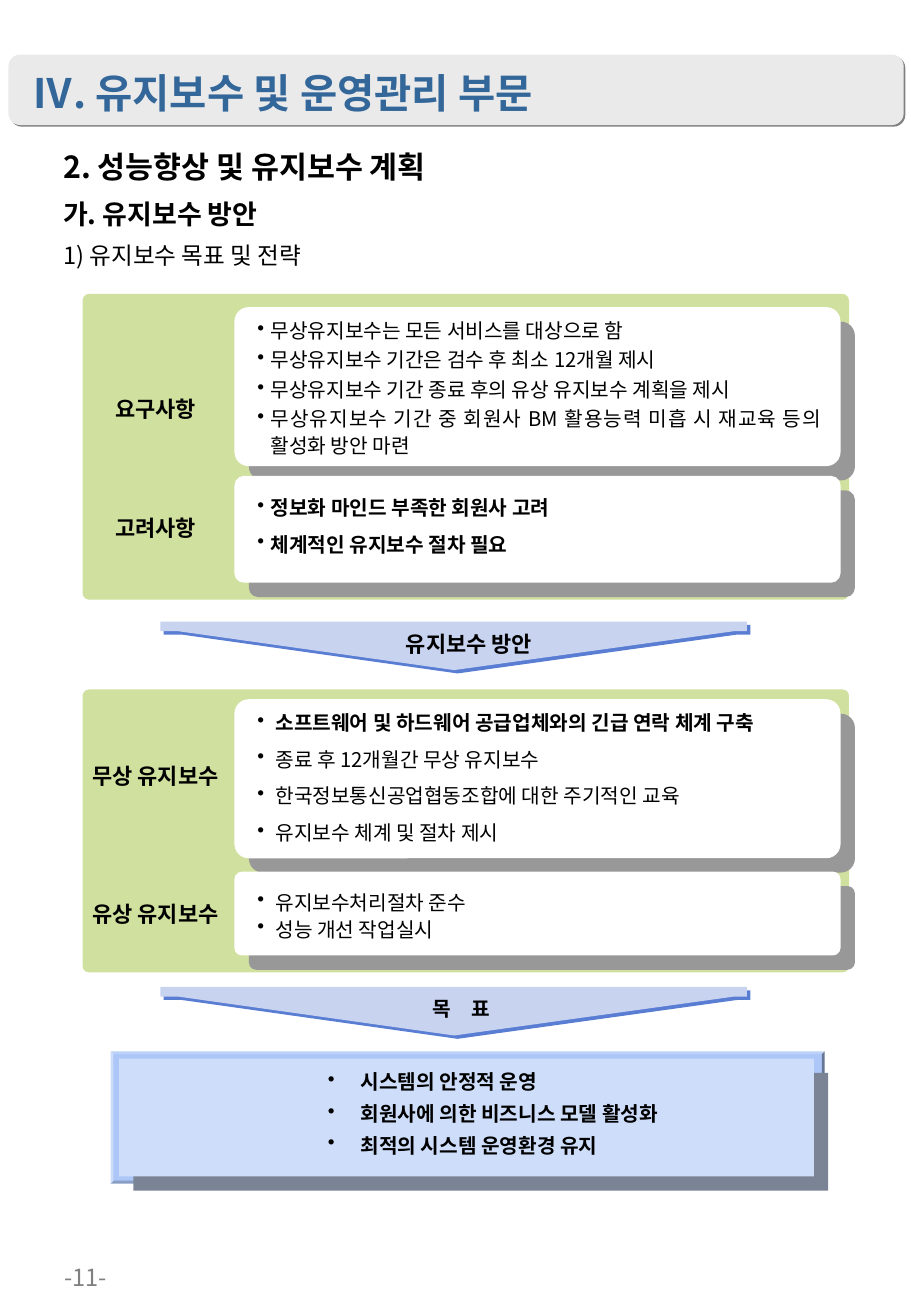
from lxml.etree import SubElement
from pptx import Presentation
from pptx.dml.color import RGBColor
from pptx.enum.shapes import MSO_SHAPE
from pptx.enum.text import MSO_ANCHOR, MSO_AUTO_SIZE, PP_ALIGN
from pptx.oxml.ns import qn
from pptx.util import Inches, Pt

FACE = "Noto Sans CJK KR"
BLACK = RGBColor(0x00, 0x00, 0x00)
WHITE = RGBColor(0xFF, 0xFF, 0xFF)
GRAY = RGBColor(0x80, 0x80, 0x80)
SILVER = RGBColor(0xEA, 0xEA, 0xEA)
NAVY = RGBColor(0x33, 0x66, 0x99)
GREEN = RGBColor(0xD0, 0xE0, 0x9E)
SHADE = RGBColor(0x98, 0x98, 0x98)
ARROW = RGBColor(0xC8, 0xD3, 0xF0)
EDGE = RGBColor(0x5A, 0x7D, 0xD4)
FRAME = RGBColor(0xAB, 0xC6, 0xF7)
SKY = RGBColor(0xCE, 0xDE, 0xFA)
SLATE = RGBColor(0x7B, 0x84, 0x95)

HEAD = "Ⅳ. 유지보수 및 운영관리 부문"
TITLE = [
    ("2. 성능향상 및 유지보수 계획", 18, 31, True),
    ("가. 유지보수 방안", 16, 27, True),
    ("1) 유지보수 목표 및 전략", 14, 23, False),
]
PAGE = "-11-"
PANELS = [(2.42, 2.52), (5.68, 2.33)]
CARDS = [
    {"label": "요구사항", "mid": 3.36, "top": 2.53, "high": 1.31,
     "text": 2.55, "indent": 0.11, "step": 16, "gap": 1.5, "bold": 0,
     "align": PP_ALIGN.JUSTIFY,
     "items": ["무상유지보수는 모든 서비스를 대상으로 함",
               "무상유지보수 기간은 검수 후 최소 12개월 제시",
               "무상유지보수 기간 종료 후의 유상 유지보수 계획을 제시",
               "무상유지보수 기간 중 회원사 BM 활용능력 미흡 시 재교육 등의 활성화 방안 마련"]},
    {"label": "고려사항", "mid": 4.34, "top": 3.92, "high": 0.88,
     "text": 3.99, "indent": 0.11, "step": 17.3, "gap": 4.5, "bold": 2,
     "align": PP_ALIGN.JUSTIFY,
     "items": ["정보화 마인드 부족한 회원사 고려", "체계적인 유지보수 절차 필요"]},
    {"label": "무상 유지보수", "mid": 6.38, "top": 5.76, "high": 1.31,
     "text": 5.76, "indent": 0.15, "step": 17.3, "gap": 4.5, "bold": 1,
     "align": PP_ALIGN.LEFT,
     "items": ["소프트웨어 및 하드웨어 공급업체와의 긴급 연락 체계 구축",
               "종료 후 12개월간 무상 유지보수",
               "한국정보통신공업협동조합에 대한 주기적인 교육",
               "유지보수 체계 및 절차 제시"]},
    {"label": "유상 유지보수", "mid": 7.52, "top": 7.18, "high": 0.69,
     "text": 7.26, "indent": 0.15, "step": 16, "gap": 0, "bold": 0,
     "align": PP_ALIGN.LEFT,
     "items": ["유지보수처리절차 준수", "성능 개선 작업실시"]},
]
ARROWS = [("유지보수 방안", 5.12, 3.86, 13, 15.8), ("목　표", 8.13, 3.8, 12, 14.8)]
POINTS = [(0, 0), (4.83, 0), (4.83, 0.08), (4.72, 0.08), (2.42, 0.4), (0.15, 0.08), (0, 0.08)]
GOALS = ["시스템의 안정적 운영", "회원사에 의한 비즈니스 모델 활성화", "최적의 시스템 운영환경 유지"]


def paint(shape, fill, shade=None, dist=12.1):
    shape.fill.solid()
    shape.fill.fore_color.rgb = fill
    shape.line.fill.background()
    shape.shadow.inherit = False
    if shade is not None:
        effects = shape.element.spPr.find(qn("a:effectLst"))
        outer = SubElement(effects, qn("a:outerShdw"), blurRad="0", dist=str(Pt(dist)),
                           dir="2700000", algn="ctr", rotWithShape="0")
        SubElement(outer, qn("a:srgbClr"), val=str(shade))


def block(slide, kind, box, fill, adjust=None, shade=None, dist=12.1):
    shape = slide.shapes.add_shape(kind, *map(Inches, box))
    if adjust is not None:
        shape.adjustments[0] = adjust
    paint(shape, fill, shade, dist)


def style(para, size, step, bold=False, color=BLACK, align=PP_ALIGN.LEFT, gap=0):
    para.alignment = align
    para.line_spacing = Pt(step)
    para.space_before = Pt(gap)
    for run in para.runs:
        font = run.font
        font.name = FACE
        font.size = Pt(size)
        font.bold = bold
        font.color.rgb = color
        SubElement(run.font._element, qn("a:ea"), typeface=FACE)


def frame(slide, box):
    body = slide.shapes.add_textbox(*map(Inches, box)).text_frame
    body.word_wrap = True
    return body


def write(slide, box, text, size, step, **looks):
    body = frame(slide, box)
    body.text = text
    style(body.paragraphs[0], size, step, **looks)
    return body


def bullets(slide, box, items, indent, step, gap, bold, align=PP_ALIGN.LEFT):
    body = frame(slide, box)
    body.text = "\n".join(items)
    for i, para in enumerate(body.paragraphs):
        props = para._p.get_or_add_pPr()
        props.set("marL", str(Inches(indent)))
        props.set("indent", str(-Inches(indent)))
        SubElement(props, qn("a:buChar"), char="•")
        style(para, 12, step, i < bold, align=align, gap=gap if i else 0)


def header(slide):
    block(slide, MSO_SHAPE.ROUNDED_RECTANGLE, (0.07, 0.45, 7.37, 0.58), SILVER, 0.167, GRAY, 1.4)
    write(slide, (0.17, 0.48, 6.33, 0.54), HEAD, 24, 31, bold=True, color=NAVY)
    title = slide.shapes.title
    title.left, title.top, title.width, title.height = map(Inches, (0.42, 1.04, 6.33, 1.22))
    body = title.text_frame
    body.auto_size = MSO_AUTO_SIZE.NONE
    body.vertical_anchor = MSO_ANCHOR.TOP
    body.text = "\n".join(line[0] for line in TITLE)
    for para, (_, size, step, bold) in zip(body.paragraphs, TITLE):
        style(para, size, step, bold)


def card(slide, data):
    block(slide, MSO_SHAPE.ROUNDED_RECTANGLE, (1.93, data["top"], 4.99, data["high"]),
          WHITE, 0.089, SHADE)
    label = write(slide, (0.55, data["mid"] - 0.16, 1.46, 0.32), data["label"], 13, 17,
                  bold=True, align=PP_ALIGN.CENTER)
    label.vertical_anchor = MSO_ANCHOR.MIDDLE
    bullets(slide, (2.02, data["text"], 4.84, data["high"] - 0.06), data["items"],
            data["indent"], data["step"], data["gap"], data["bold"], data["align"])


def arrow(slide, text, top, mid, size, step):
    spots = [(Inches(1.32 + x), Inches(top + y)) for x, y in POINTS]
    path = slide.shapes.build_freeform(*spots[0])
    path.add_line_segments(spots[1:], close=True)
    paint(path.convert_to_shape(), ARROW, EDGE, 2.8)
    write(slide, (mid - 0.8, top + 0.02, 1.6, 0.32), text, size, step,
          bold=True, align=PP_ALIGN.CENTER)


def main():
    deck = Presentation()
    deck.slide_width, deck.slide_height = Inches(7.5), Inches(10.84)
    slide = deck.slides.add_slide(deck.slide_layouts[5])
    header(slide)
    for top, high in PANELS:
        block(slide, MSO_SHAPE.ROUNDED_RECTANGLE, (0.68, top, 6.31, high), GREEN, 0.022)
    for data in CARDS:
        card(slide, data)
    for data in ARROWS:
        arrow(slide, *data)
    block(slide, MSO_SHAPE.BEVEL, (0.91, 8.66, 5.88, 1.09), FRAME, 0.022)
    block(slide, MSO_SHAPE.RECTANGLE, (0.98, 8.72, 5.72, 0.97), SKY, shade=SLATE)
    bullets(slide, (2.6, 8.81, 3.42, 0.85), GOALS, 0.27, 11, 7.7, len(GOALS))
    write(slide, (0.06, 10.34, 0.92, 0.4), PAGE, 14, 18, color=GRAY, align=PP_ALIGN.RIGHT)
    deck.save("out.pptx")


if __name__ == "__main__":
    main()
